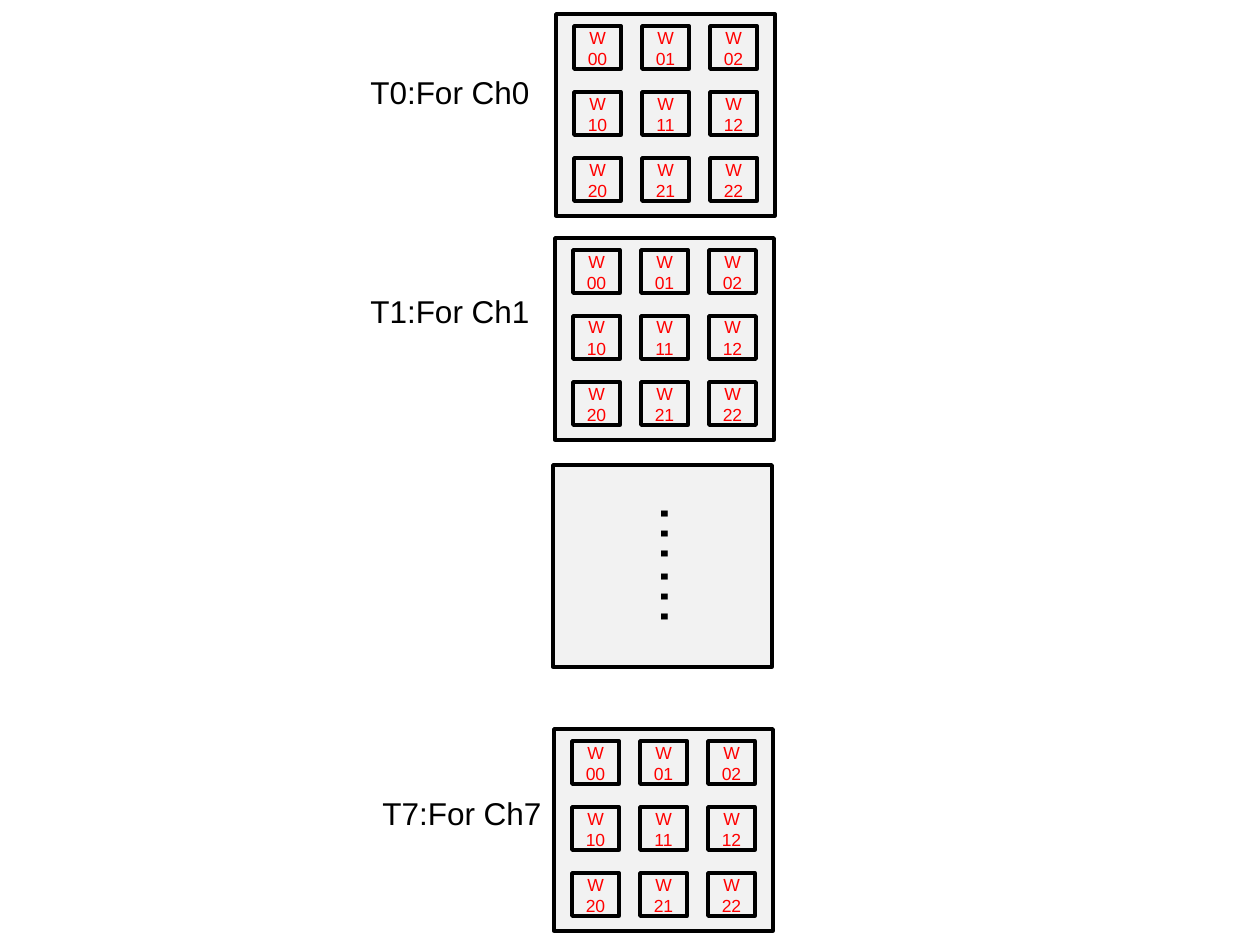
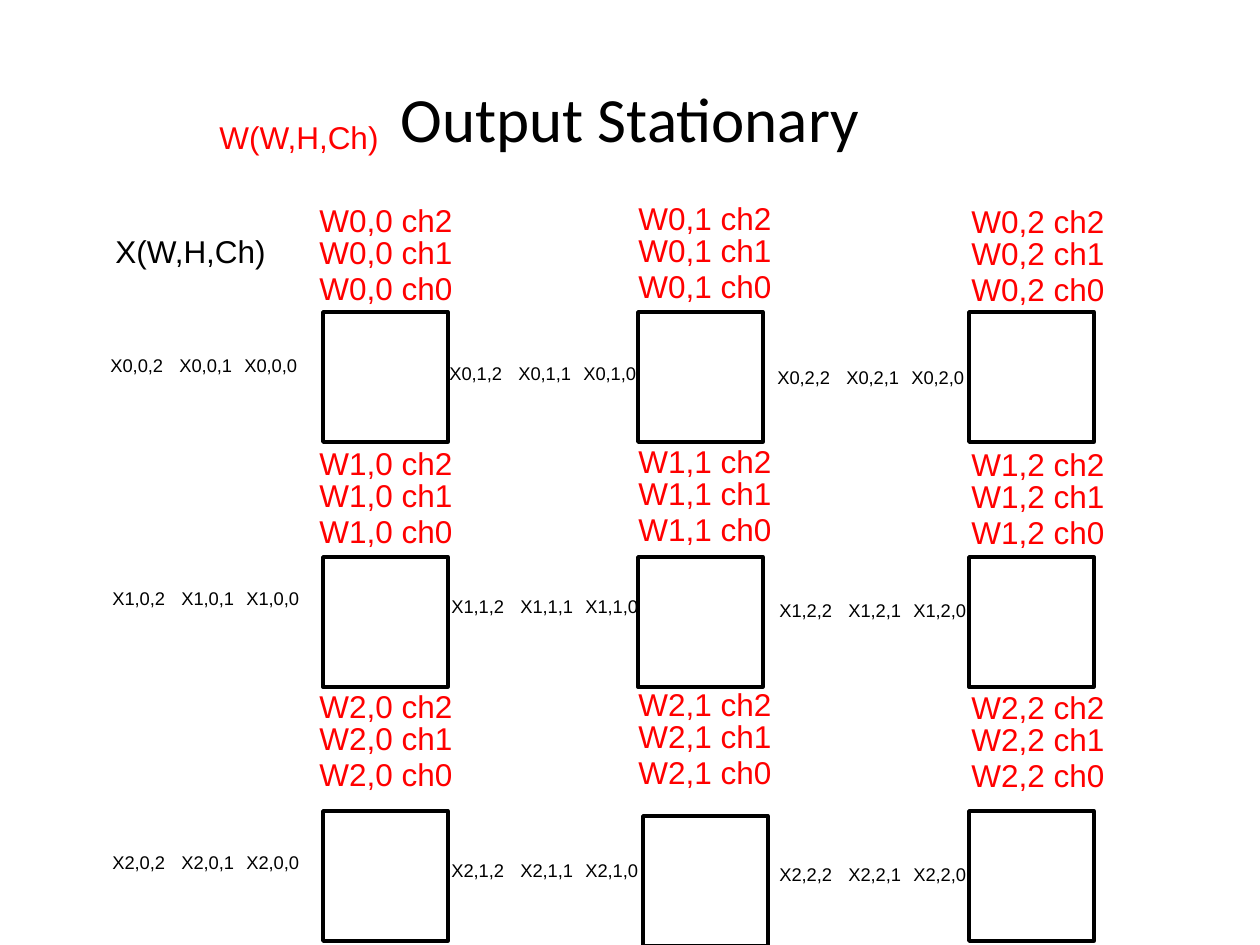
from pptx import Presentation
from pptx.dml.color import RGBColor
from pptx.enum.shapes import MSO_SHAPE
from pptx.enum.text import MSO_ANCHOR, MSO_AUTO_SIZE, PP_ALIGN
from pptx.util import Emu, Pt

RECT = MSO_SHAPE.RECTANGLE
MIDDLE = MSO_ANCHOR.MIDDLE
CENTER = PP_ALIGN.CENTER
GROW = MSO_AUTO_SIZE.SHAPE_TO_FIT_TEXT

PX_PER_INCH = 126
BLACK, RED, GREY = "000000", "FF0000", "F2F2F2"
BODY_FONT, TITLE_FONT = "Arial", "Calibri"

PANEL_SIZE = (219, 202)
CELL_SIZE = (47, 43)
CELL_INSET = (18, 12)
CELL_PITCH = (68, 66)
CHANNEL_PANELS = [(556, 14), (555, 238), (554, 729)]
CHANNEL_LABELS = [("T0:For Ch0", 358, 67), ("T1:For Ch1", 358, 286),
                  ("T7:For Ch7", 370, 788)]

PE_SIZE = (125, 130)
PE_COLUMNS = [323, 638, 969]
PE_ROWS = [312, 557, 811]
PE_NUDGE = {(2, 1): (5, 5)}
WEIGHT_COLUMNS = [(307, 195), (626, 193), (959, 196)]
WEIGHT_ROW_PITCH = 243
WEIGHT_CHANNEL_DY = [68, 32, 0]
INPUT_ROWS = [(98, 348), (100, 581), (100, 845)]
INPUT_COLUMN_SHIFTS = [(0, 0), (339, 8), (667, 12)]
INPUT_CHANNEL_DX = [134, 69, 0]


def px(value):
    return Emu(round(value * 914400 / PX_PER_INCH))


def rgb(value):
    return RGBColor.from_string(value)


def style_text(tf, text, size, color, font=BODY_FONT):
    p = tf.paragraphs[0]
    p.text = text
    p.font.size = Pt(size)
    p.font.name = font
    p.font.color.rgb = rgb(color)
    return p


def add_box(shapes, x, y, size, fill=None):
    sp = shapes.add_shape(RECT, px(x), px(y), *map(px, size))
    sp.shadow.inherit = False
    if fill:
        sp.fill.solid()
        sp.fill.fore_color.rgb = rgb(fill)
    else:
        sp.fill.background()
    sp.line.color.rgb = rgb(BLACK)
    sp.line.width = Pt(2)
    return sp


def add_label(s, text, x, y, w, h, size=18, color=BLACK):
    sp = s.shapes.add_textbox(px(x), px(y), px(w), px(h))
    tf = sp.text_frame
    tf.word_wrap = False
    tf.auto_size = GROW
    style_text(tf, text, size, color)
    return sp


def add_title(s, text):
    tf = s.shapes.add_textbox(px(63), px(38), px(1134), px(158)).text_frame
    tf.word_wrap = True
    tf.vertical_anchor = MIDDLE
    style_text(tf, text, 36, BLACK, TITLE_FONT).alignment = CENTER


def add_weight_panel(s, x, y):
    shapes = s.shapes.add_group_shape().shapes
    add_box(shapes, x, y, PANEL_SIZE, GREY)
    for row in range(3):
        for col in range(3):
            cell = add_box(shapes, x + CELL_INSET[0] + col * CELL_PITCH[0],
                           y + CELL_INSET[1] + row * CELL_PITCH[1], CELL_SIZE)
            tf = cell.text_frame
            tf.word_wrap = True
            tf.vertical_anchor = MIDDLE
            style_text(tf, f"W{row}{col}", 10, RED).alignment = CENTER


def add_processing_element(s, row, col):
    dx, dy = PE_NUDGE.get((row, col), (0, 0))
    add_box(s.shapes, PE_COLUMNS[col] + dx, PE_ROWS[row] + dy, PE_SIZE)
    weight_x, weight_y = WEIGHT_COLUMNS[col]
    input_x, input_y = INPUT_ROWS[row]
    shift_x, shift_y = INPUT_COLUMN_SHIFTS[col]
    for ch in range(3):
        add_label(s, f"W{row},{col} ch{ch}", weight_x,
                  weight_y + row * WEIGHT_ROW_PITCH + WEIGHT_CHANNEL_DY[ch],
                  160, 50, color=RED)
        add_label(s, f"X{row},{col},{ch}",
                  input_x + shift_x + INPUT_CHANNEL_DX[ch],
                  input_y + shift_y, 80, 35, size=10.5)


def build_channel_slide(s):
    for x, y in CHANNEL_PANELS:
        add_weight_panel(s, x, y)
    for text, x, y in CHANNEL_LABELS:
        add_label(s, text, x, y, 186, 50)
    add_box(s.shapes, 553, 465, PANEL_SIZE, GREY)
    add_label(s, "……", 610, 522, 152, 89, size=36).rotation = 90


def build_output_stationary_slide(s):
    add_title(s, "Output Stationary")
    for row in range(3):
        for col in range(3):
            add_processing_element(s, row, col)
    add_label(s, "X(W,H,Ch)", 103, 226, 178, 50)
    add_label(s, "W(W,H,Ch)", 207, 112, 186, 50, color=RED)


def main():
    prs = Presentation()
    prs.slide_width, prs.slide_height = px(1260), px(945)
    blank = prs.slide_layouts[6]
    for build in (build_channel_slide, build_output_stationary_slide):
        build(prs.slides.add_slide(blank))
    prs.save("out.pptx")


if __name__ == "__main__":
    main()
